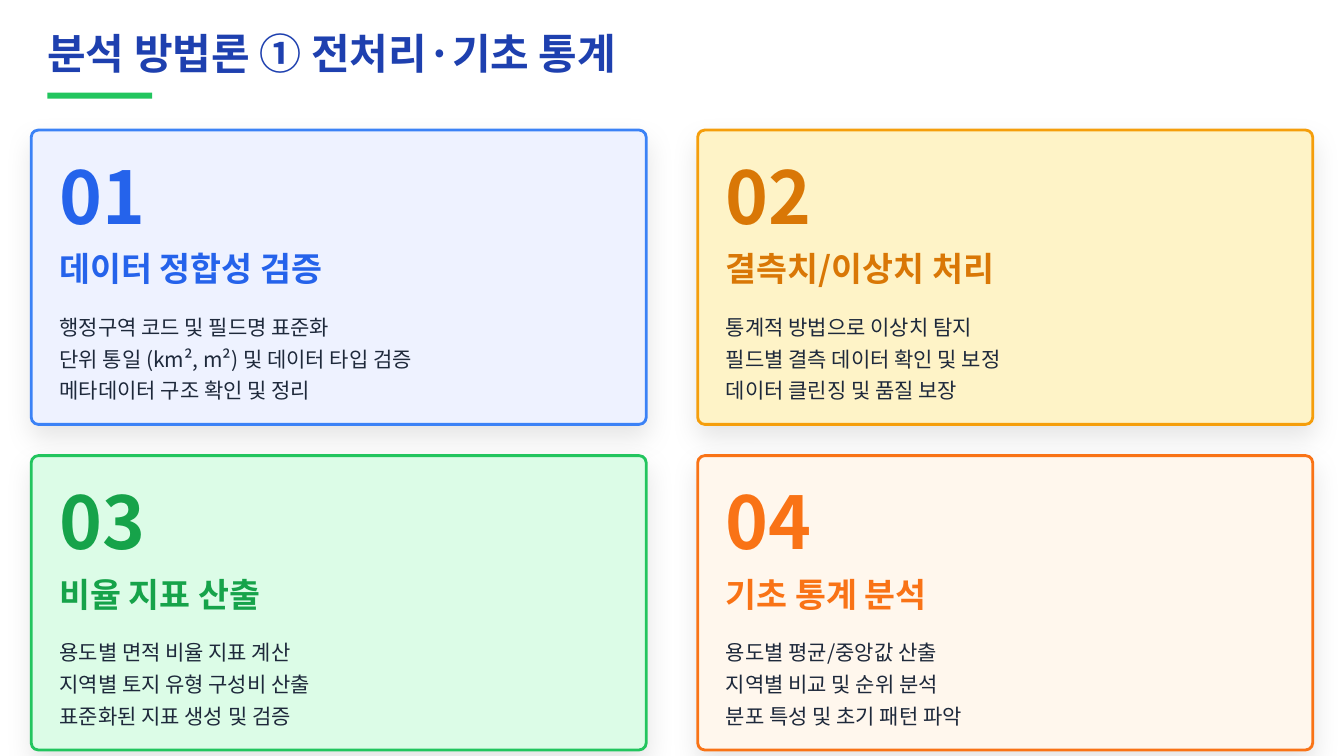
from dataclasses import dataclass

from lxml.etree import SubElement
from pptx import Presentation
from pptx.dml.color import RGBColor
from pptx.enum.shapes import MSO_SHAPE
from pptx.enum.text import MSO_ANCHOR
from pptx.oxml.ns import qn
from pptx.shapes.autoshape import Shape
from pptx.slide import Slide
from pptx.util import Inches, Pt

FONT = "Noto Sans CJK KR"
WHITE = RGBColor(0xFF, 0xFF, 0xFF)
NAVY = RGBColor(0x1E, 0x40, 0xAF)
INK = RGBColor(0x1E, 0x29, 0x3B)
BLUE = RGBColor(0x25, 0x63, 0xEB)
BLUE_EDGE = RGBColor(0x3B, 0x82, 0xF6)
BLUE_TINT = RGBColor(0xEE, 0xF2, 0xFF)
AMBER = RGBColor(0xD9, 0x77, 0x06)
AMBER_EDGE = RGBColor(0xF5, 0x9E, 0x0B)
AMBER_TINT = RGBColor(0xFE, 0xF3, 0xC7)
GREEN = RGBColor(0x16, 0xA3, 0x4A)
GREEN_EDGE = RGBColor(0x22, 0xC5, 0x5E)
GREEN_TINT = RGBColor(0xDC, 0xFC, 0xE7)
ORANGE = RGBColor(0xF9, 0x73, 0x16)
ORANGE_TINT = RGBColor(0xFF, 0xF7, 0xED)

# Card grid, in inches
GRID_LEFT, GRID_TOP = 0.31, 1.29
CARD_WIDTH, CARD_HEIGHT = 6.1, 2.92
COLUMN_STEP, ROW_STEP = 6.61, 3.23
CARD_PADDING = 0.28
TEXT_WIDTH = CARD_WIDTH - 2 * CARD_PADDING


@dataclass(frozen=True)
class Step:
    heading: str
    details: tuple[str, ...]
    accent: RGBColor
    edge: RGBColor
    tint: RGBColor


STEPS = (
    Step("데이터 정합성 검증",
         ("행정구역 코드 및 필드명 표준화",
          "단위 통일 (km², m²) 및 데이터 타입 검증",
          "메타데이터 구조 확인 및 정리"),
         BLUE, BLUE_EDGE, BLUE_TINT),
    Step("결측치/이상치 처리",
         ("통계적 방법으로 이상치 탐지",
          "필드별 결측 데이터 확인 및 보정",
          "데이터 클린징 및 품질 보장"),
         AMBER, AMBER_EDGE, AMBER_TINT),
    Step("비율 지표 산출",
         ("용도별 면적 비율 지표 계산",
          "지역별 토지 유형 구성비 산출",
          "표준화된 지표 생성 및 검증"),
         GREEN, GREEN_EDGE, GREEN_TINT),
    Step("기초 통계 분석",
         ("용도별 평균/중앙값 산출",
          "지역별 비교 및 순위 분석",
          "분포 특성 및 초기 패턴 파악"),
         ORANGE, ORANGE, ORANGE_TINT),
)


def add_panel(slide: Slide, kind: MSO_SHAPE, left: float, top: float,
              width: float, height: float, fill: RGBColor) -> Shape:
    panel = slide.shapes.add_shape(
        kind, Inches(left), Inches(top), Inches(width), Inches(height))
    panel.shadow.inherit = False
    panel.fill.solid()
    panel.fill.fore_color.rgb = fill
    panel.line.fill.background()
    return panel


def add_soft_shadow(panel: Shape) -> None:
    effects = panel._element.spPr.find(qn("a:effectLst"))
    shadow = SubElement(effects, qn("a:outerShdw"), blurRad=str(Pt(19)),
                        dist=str(Pt(8)), dir="5400000", rotWithShape="0")
    color = SubElement(shadow, qn("a:srgbClr"), val="000000")
    SubElement(color, qn("a:alpha"), val="10000")


def add_text(slide: Slide, text: str, left: float, top: float, width: float,
             height: float, size: float, color: RGBColor,
             bold: bool = False, line_pitch: float | None = None) -> None:
    box = slide.shapes.add_textbox(
        Inches(left), Inches(top), Inches(width), Inches(height))
    frame = box.text_frame
    frame.word_wrap = True
    frame.vertical_anchor = MSO_ANCHOR.MIDDLE
    frame.margin_left = frame.margin_right = 0
    frame.margin_top = frame.margin_bottom = 0
    frame.text = text
    for paragraph in frame.paragraphs:
        if line_pitch is not None:
            paragraph.line_spacing = Pt(line_pitch)
        for run in paragraph.runs:
            run.font.name = FONT
            run.font.size = Pt(size)
            run.font.bold = bold
            run.font.color.rgb = color
            SubElement(run.font._element, qn("a:ea"), typeface=FONT)


def add_card(slide: Slide, step: Step, index: int) -> None:
    row, column = divmod(index, 2)
    left = GRID_LEFT + column * COLUMN_STEP
    top = GRID_TOP + row * ROW_STEP
    card = add_panel(slide, MSO_SHAPE.ROUNDED_RECTANGLE, left, top,
                     CARD_WIDTH, CARD_HEIGHT, step.tint)
    card.adjustments[0] = 0.024
    card.line.color.rgb = step.edge
    card.line.width = Pt(2)
    add_soft_shadow(card)

    text_left = left + CARD_PADDING
    add_text(slide, f"{index + 1:02}", text_left, top + 0.12,
             1.44, 1.05, 52, step.accent, bold=True)
    add_text(slide, step.heading, text_left, top + 1.13,
             TEXT_WIDTH, 0.48, 24, step.accent, bold=True)
    add_text(slide, "\n".join(step.details), text_left, top + 1.76,
             TEXT_WIDTH, 0.95, 15, INK, line_pitch=22.7)


def add_header(slide: Slide) -> None:
    band = add_panel(slide, MSO_SHAPE.RECTANGLE, 0, 0, 13.33, 1.08, WHITE)
    band_color = band._element.spPr.find(qn("a:solidFill"))[0]
    SubElement(band_color, qn("a:alpha"), val="90000")
    add_text(slide, "분석 방법론 ① 전처리·기초 통계", 0.47, 0.22,
             8, 0.6, 30, NAVY, bold=True)
    add_panel(slide, MSO_SHAPE.RECTANGLE, 0.47, 0.92, 1.04, 0.06, GREEN_EDGE)


def main() -> None:
    deck = Presentation()
    deck.slide_width, deck.slide_height = Inches(13.33), Inches(7.5)
    slide = deck.slides.add_slide(deck.slide_layouts[6])

    # Four method cards
    for index, step in enumerate(STEPS):
        add_card(slide, step, index)

    # Title band over the card shadows
    add_header(slide)
    deck.save("out.pptx")


if __name__ == "__main__":
    main()
